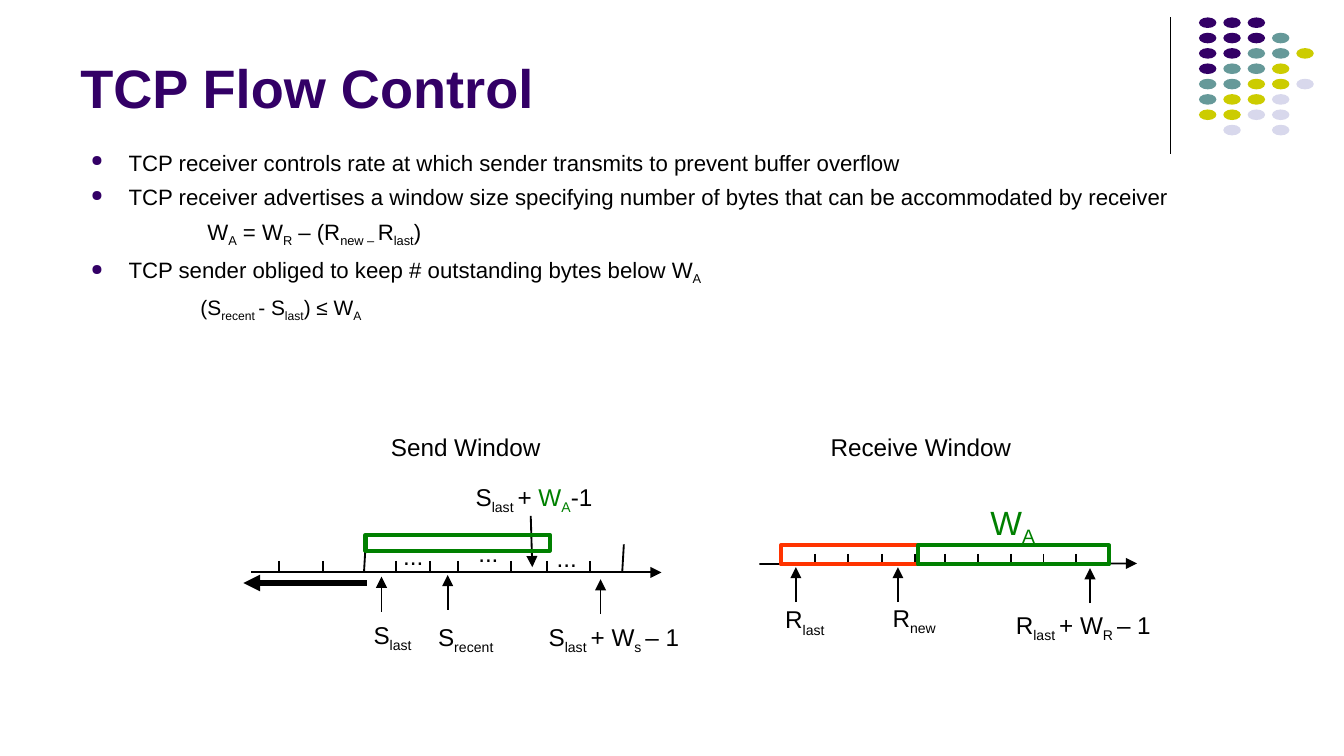
from dataclasses import dataclass

from lxml import etree
from pptx import Presentation
from pptx.dml.color import RGBColor
from pptx.enum.shapes import MSO_CONNECTOR, MSO_SHAPE
from pptx.enum.text import MSO_ANCHOR
from pptx.oxml.ns import qn
from pptx.util import Cm, Pt

STRAIGHT = MSO_CONNECTOR.STRAIGHT
OVAL, RECTANGLE = MSO_SHAPE.OVAL, MSO_SHAPE.RECTANGLE
BOTTOM = MSO_ANCHOR.BOTTOM


@dataclass(frozen=True)
class Theme:
    font: str = "Arial"
    black: str = "000000"
    purple: str = "330066"
    teal: str = "669999"
    olive: str = "CCCC00"
    lilac: str = "D8D8EC"
    green: str = "008000"
    red: str = "FF3300"
    title: float = 29
    body: float = 11.9
    formula: float = 11.2
    label: float = 13
    window: float = 18


theme = Theme()
prs = Presentation()
prs.slide_width, prs.slide_height = Cm(25.4), Cm(14.29)
s = prs.slides.add_slide(prs.slide_layouts[6])


def write(p, text, size=theme.label, color=theme.black, accent=theme.green, bold=False):
    """Fill a paragraph; _..._ marks a subscript and |...| the accent colour."""
    for i, part in enumerate(text.split("|")):
        for j, piece in enumerate(part.split("_")):
            if not piece:
                continue
            r = p.add_run()
            r.text = piece
            r.font.name, r.font.size, r.font.bold = theme.font, Pt(size), bold
            r.font.color.rgb = RGBColor.from_string(accent if i % 2 else color)
            if j % 2:
                r._r.get_or_add_rPr().set("baseline", "-25000")


def add_line(x1, y1, x2, y2, width=1, arrow=False):
    line = s.shapes.add_connector(STRAIGHT, Cm(x1), Cm(y1), Cm(x2), Cm(y2))
    line.line.width = Pt(width)
    line.line.color.rgb = RGBColor.from_string(theme.black)
    if arrow:
        etree.SubElement(line.line._get_or_add_ln(), qn("a:tailEnd"), type="triangle")
    etree.SubElement(line._element.spPr, qn("a:effectLst"))


# Corner decoration
add_line(22.12, 0.33, 22.12, 2.92, width=0.75)
dot_colors = {"P": theme.purple, "T": theme.teal, "O": theme.olive, "L": theme.lilac}
dot_rows = ["PPP", "PPPT", "PPTTO", "PTTO", "TTOOL", "TOOL", "OOLL", " L L"]
for row, keys in enumerate(dot_rows):
    for col, key in enumerate(keys):
        if key == " ":
            continue
        sp = s.shapes.add_shape(OVAL, Cm(22.66 + 0.46 * col), Cm(0.33 + 0.29 * row),
                                Cm(0.33), Cm(0.2))
        sp.shadow.inherit = False
        sp.fill.solid()
        sp.fill.fore_color.rgb = RGBColor.from_string(dot_colors[key])
        sp.line.fill.background()

# Title
tf = s.shapes.add_textbox(Cm(1.27), Cm(0.25), Cm(20.96), Cm(2.13)).text_frame
tf.word_wrap = True
tf.vertical_anchor = BOTTOM
write(tf.paragraphs[0], "TCP Flow Control", size=theme.title, color=theme.purple, bold=True)

# Body: text, size, left indent of a formula (None for a bullet)
body = [
    ("TCP receiver controls rate at which sender transmits to prevent buffer overflow",
     theme.body, None),
    ("TCP receiver advertises a window size specifying number of bytes that can be "
     "accommodated by receiver", theme.body, None),
    ("W_A_ = W_R_ – (R_new – _R_last_)", theme.body, 2.2),
    ("TCP sender obliged to keep # outstanding bytes below W_A_", theme.body, None),
    ("(S_recent _- S_last_) ≤ W_A_", theme.formula, 2.07),
]
tf = s.shapes.add_textbox(Cm(1.47), Cm(2.69), Cm(22.38), Cm(3.91)).text_frame
tf.word_wrap = True
for i, (text, size, indent) in enumerate(body):
    p = tf.add_paragraph() if i else tf.paragraphs[0]
    p.space_before = Pt(4.2)
    write(p, text, size=size)
    pPr = p._p.get_or_add_pPr()
    pPr.set("marL", str(Cm(indent or 0.71)))
    if indent is None:
        pPr.set("indent", str(-Cm(0.71)))
        bullet_color = etree.SubElement(pPr, qn("a:buClr"))
        etree.SubElement(bullet_color, qn("a:srgbClr"), val=theme.purple)
        etree.SubElement(pPr, qn("a:buSzPct"), val="70000")
        etree.SubElement(pPr, qn("a:buChar"), char="●")

# Axes, ticks and window edges
add_line(14.35, 10.66, 21.49, 10.65, arrow=True)
add_line(4.75, 10.82, 12.5, 10.82, arrow=True)
add_line(6.93, 11.02, 4.6, 11.02, width=3, arrow=True)
receive_ticks = [14.76 + 0.635 * i for i in range(5)] + [17.86 + 0.62 * i for i in range(6)]
send_ticks = [5.28, 6.1, 7.49, 8.13, 8.66, 9.65, 10.34, 11.15]
for ticks, top in ((receive_ticks, 10.47), (send_ticks, 10.6)):
    for x in ticks:
        add_line(x, top, x, top + 0.19)
for x in (6.91, 11.79):
    add_line(x, 10.29, x - 0.03, 10.8)

# Pointers to positions on the axes
for x, tip in ((7.21, 10.9), (8.46, 10.87), (11.35, 10.95),
               (15.04, 10.72), (16.97, 10.72), (20.6, 10.74)):
    add_line(x, tip + 0.66, x, tip, arrow=True)
add_line(10.03, 9.75, 10.06, 10.72, arrow=True)

# Windows
for x, y, w, h, color in ((14.76, 10.31, 2.59, 0.36, theme.red),
                          (17.35, 10.31, 3.61, 0.36, theme.green),
                          (6.91, 10.11, 3.48, 0.3, theme.green)):
    sp = s.shapes.add_shape(RECTANGLE, Cm(x), Cm(y), Cm(w), Cm(h))
    sp.shadow.inherit = False
    sp.fill.background()
    sp.line.width = Pt(2.25)
    sp.line.color.rgb = RGBColor.from_string(color)

# Labels
labels = [
    ("Send Window", 7.21, 8.08, 3.2, {}),
    ("S_last _+ |W_A_|-1", 8.81, 9.02, 2.59, {}),
    ("...", 7.44, 10.13, 0.76, {}),
    ("...", 8.86, 10.08, 0.76, {}),
    ("...", 10.34, 10.16, 0.76, {}),
    ("S_last_", 6.88, 11.63, 1.09, {}),
    ("S_recent_", 8.1, 11.66, 1.42, {}),
    ("S_last _+ W_s _– 1", 10.19, 11.66, 2.97, {}),
    ("Receive Window", 15.52, 8.08, 3.78, {}),
    ("W_A_", 18.54, 9.38, 1.21, {"size": theme.window, "color": theme.green}),
    ("R_last_", 14.66, 11.33, 1.12, {}),
    ("R_new_", 16.69, 11.3, 1.19, {}),
    ("R_last _+ W_R _– 1", 19.02, 11.43, 3.05, {}),
]
for text, x, y, w, style in labels:
    tf = s.shapes.add_textbox(Cm(x), Cm(y), Cm(w), Cm(0.78)).text_frame
    tf.word_wrap = False
    tf.margin_left = tf.margin_right = Cm(0.18)
    tf.margin_top = tf.margin_bottom = Cm(0.1)
    write(tf.paragraphs[0], text, **style)

prs.save("out.pptx")
